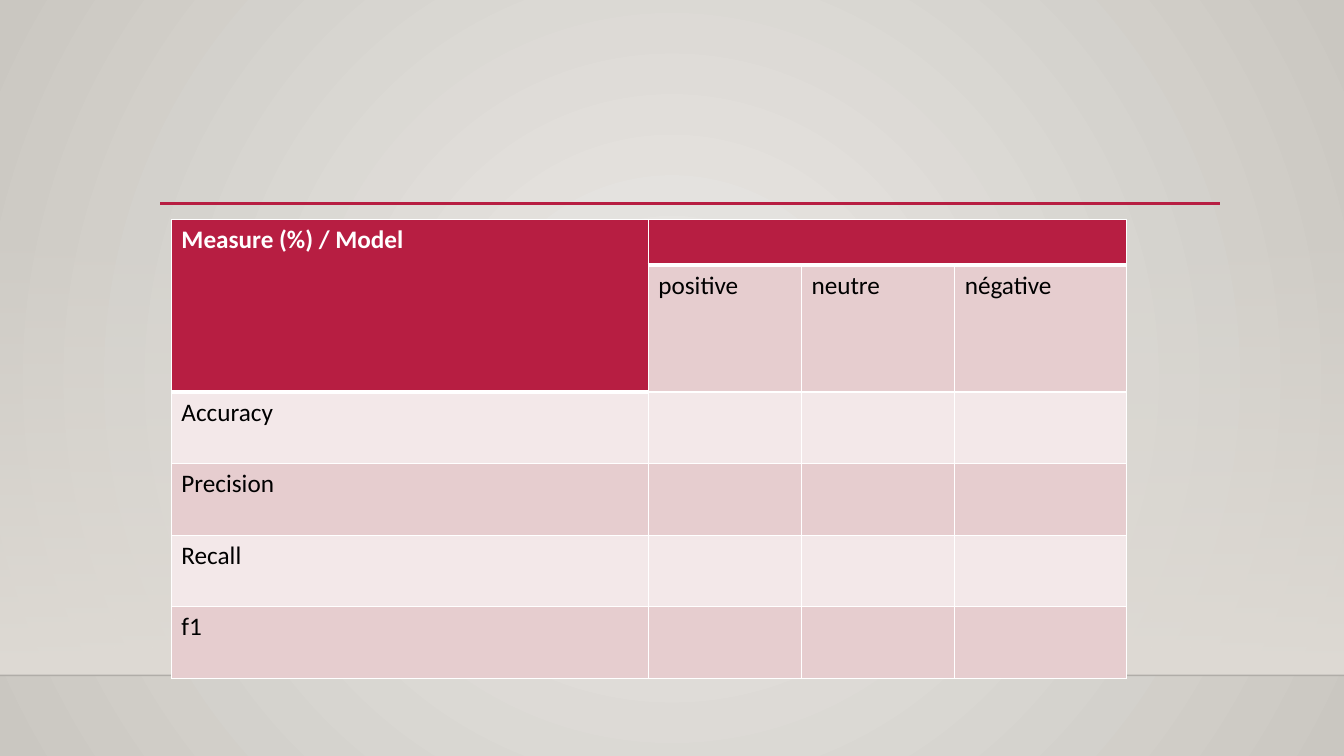
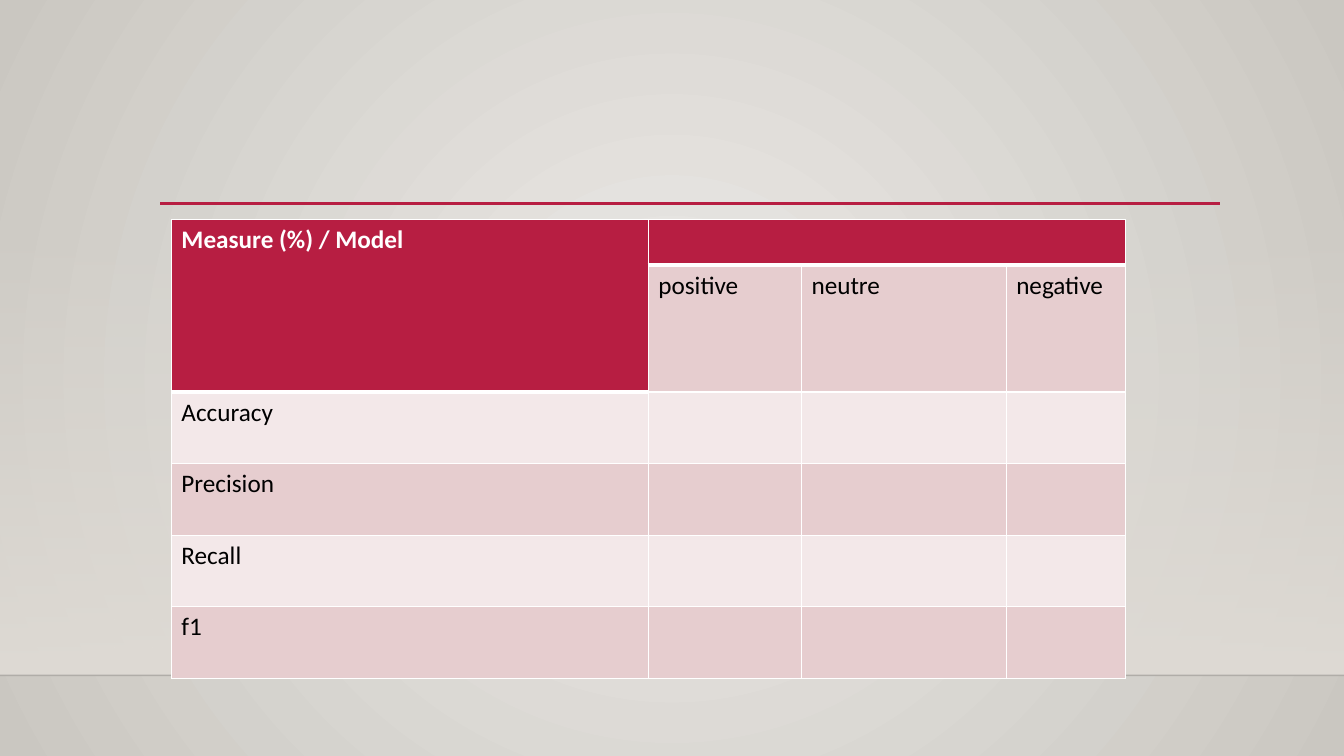
from lxml import etree
from pptx import Presentation
from pptx.dml.color import RGBColor
from pptx.enum.shapes import MSO_CONNECTOR, MSO_SHAPE
from pptx.oxml.ns import qn
from pptx.util import Inches, Pt

RECTANGLE = MSO_SHAPE.RECTANGLE
STRAIGHT = MSO_CONNECTOR.STRAIGHT

FONT = "Calibri"
ACCENT = "B71E42"
WHITE = "FFFFFF"
BLACK = "000000"
BANDS = ("F3E8E9", "E6CDCF")
BACKGROUND_STOPS = ("ECEAE7", "CAC7C1")
FLOOR = "DFDBD5"

SLIDE_WIDTH, SLIDE_HEIGHT = 13.33, 7.5
FLOOR_TOP, FLOOR_BOTTOM = 2.21, 6.7
BLANK_LAYOUT = 6

MEASURES = ("Accuracy", "Precision", "Recall", "f1")
ROW_HEIGHTS = [0.45, 1.26] + [0.71] * len(MEASURES)


def rgb(value):
    return RGBColor.from_string(value)


def set_alpha(color_element, percent):
    alpha = etree.SubElement(color_element, qn("a:alpha"))
    alpha.set("val", str(percent * 1000))


def set_gradient(fill, colors):
    fill.gradient()
    for stop, color in zip(fill.gradient_stops, colors):
        stop.color.rgb = rgb(color)


def set_radial_background(layout):
    """Give the layout a gradient that spreads from the centre."""
    set_gradient(layout.background.fill, BACKGROUND_STOPS)
    gradient = next(layout.element.iter(qn("a:gradFill")))
    gradient.remove(gradient.find(qn("a:lin")))
    circle = etree.SubElement(gradient, qn("a:path"), {"path": "circle"})
    etree.SubElement(circle, qn("a:fillToRect"), dict.fromkeys("ltrb", "50000"))


def add_floor(slide):
    """Add the band that fades in towards the bottom line."""
    floor = slide.shapes.add_shape(
        RECTANGLE, 0, Inches(FLOOR_TOP),
        Inches(SLIDE_WIDTH), Inches(FLOOR_BOTTOM - FLOOR_TOP))
    floor.shadow.inherit = False
    floor.line.fill.background()
    set_gradient(floor.fill, (FLOOR, FLOOR))
    floor.fill.gradient_angle = 270
    set_alpha(next(floor.element.iter(qn("a:srgbClr"))), 0)
    return floor


def add_rule(slide, left, right, top, color, width):
    rule = slide.shapes.add_connector(
        STRAIGHT, Inches(left), Inches(top), Inches(right), Inches(top))
    rule.line.color.rgb = rgb(color)
    rule.line.width = Pt(width)
    etree.SubElement(rule.element.spPr, qn("a:effectLst"))
    return rule


def move_to_layout(shapes, layout):
    for shape in shapes:
        layout.shapes.element.append(shape.element)


def add_backdrop(slide):
    """Draw the shared decoration and hand it over to the slide's layout."""
    layout = slide.slide_layout
    set_radial_background(layout)
    floor = add_floor(slide)
    floor_edge = add_rule(slide, 0, SLIDE_WIDTH, FLOOR_BOTTOM, BLACK, 1)
    set_alpha(next(floor_edge.element.iter(qn("a:srgbClr"))), 20)
    title_rule = add_rule(slide, 1.59, 12.1, 2.02, ACCENT, 2.5)
    move_to_layout((floor, floor_edge, title_rule), layout)


def set_border(cell, side, width):
    properties = cell._tc.get_or_add_tcPr()
    border = etree.SubElement(
        properties, qn("a:ln" + side), {"w": str(Pt(width))})
    fill = etree.SubElement(border, qn("a:solidFill"))
    etree.SubElement(fill, qn("a:srgbClr"), {"val": WHITE})


def format_cell(cell, row, column):
    last_header_row = 1 if column == 0 else 0
    is_header = row <= last_header_row
    widths = {
        "L": 1,
        "R": 1,
        "T": 3 if row == last_header_row + 1 else 1,
        "B": 3 if is_header else 1,
    }
    for side, width in widths.items():
        set_border(cell, side, width)
    cell.fill.solid()
    cell.fill.fore_color.rgb = rgb(ACCENT if is_header else BANDS[row % 2])
    font = cell.text_frame.paragraphs[0].font
    font.size = Pt(18)
    for run in cell.text_frame.paragraphs[0].runs:
        run.font.name = FONT
        run.font.size = Pt(18)
        run.font.bold = is_header
        run.font.color.rgb = rgb(WHITE if is_header else BLACK)


def add_measure_table(slide, classes, column_widths):
    table = slide.shapes.add_table(
        len(ROW_HEIGHTS), len(column_widths), Inches(1.7), Inches(2.18),
        Inches(sum(column_widths)), Inches(sum(ROW_HEIGHTS))).table
    for column, width in zip(table.columns, column_widths):
        column.width = Inches(width)
    for row, height in zip(table.rows, ROW_HEIGHTS):
        row.height = Inches(height)

    table.cell(0, 0).merge(table.cell(1, 0))
    table.cell(0, 1).merge(table.cell(0, len(classes)))
    table.cell(0, 0).text_frame.text = "Measure (%) / Model"
    for column, name in enumerate(classes, start=1):
        table.cell(1, column).text_frame.text = name
    for row, measure in enumerate(MEASURES, start=2):
        table.cell(row, 0).text_frame.text = measure

    for row in range(len(ROW_HEIGHTS)):
        for column in range(len(column_widths)):
            format_cell(table.cell(row, column), row, column)


def main():
    presentation = Presentation()
    presentation.slide_width = Inches(SLIDE_WIDTH)
    presentation.slide_height = Inches(SLIDE_HEIGHT)
    layout = presentation.slide_layouts[BLANK_LAYOUT]

    slide = presentation.slides.add_slide(layout)
    add_backdrop(slide)
    add_measure_table(
        slide, ("positive", "neutre", "négative"), (4.73, 1.52, 1.52, 1.7))

    slide = presentation.slides.add_slide(layout)
    add_measure_table(
        slide, ("positive", "neutre", "negative"), (4.73, 1.52, 2.03, 1.18))

    presentation.save("out.pptx")


if __name__ == "__main__":
    main()
